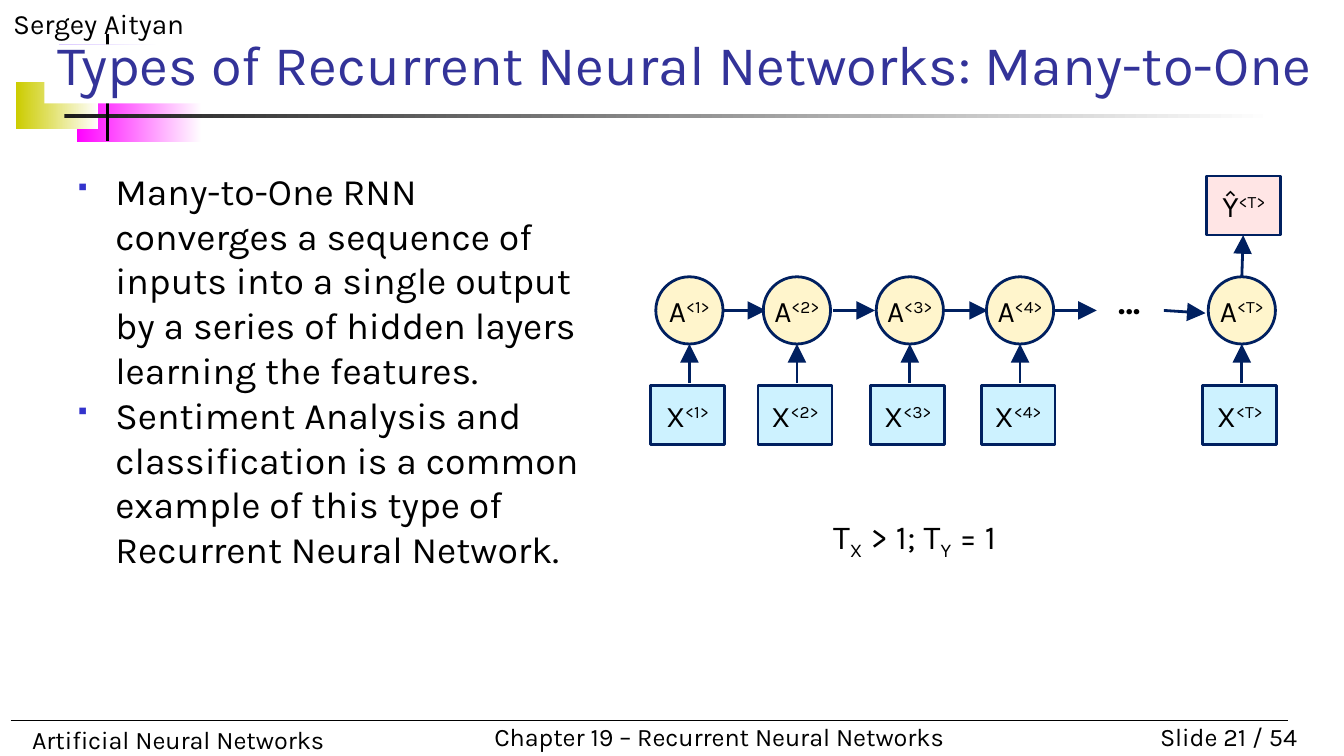
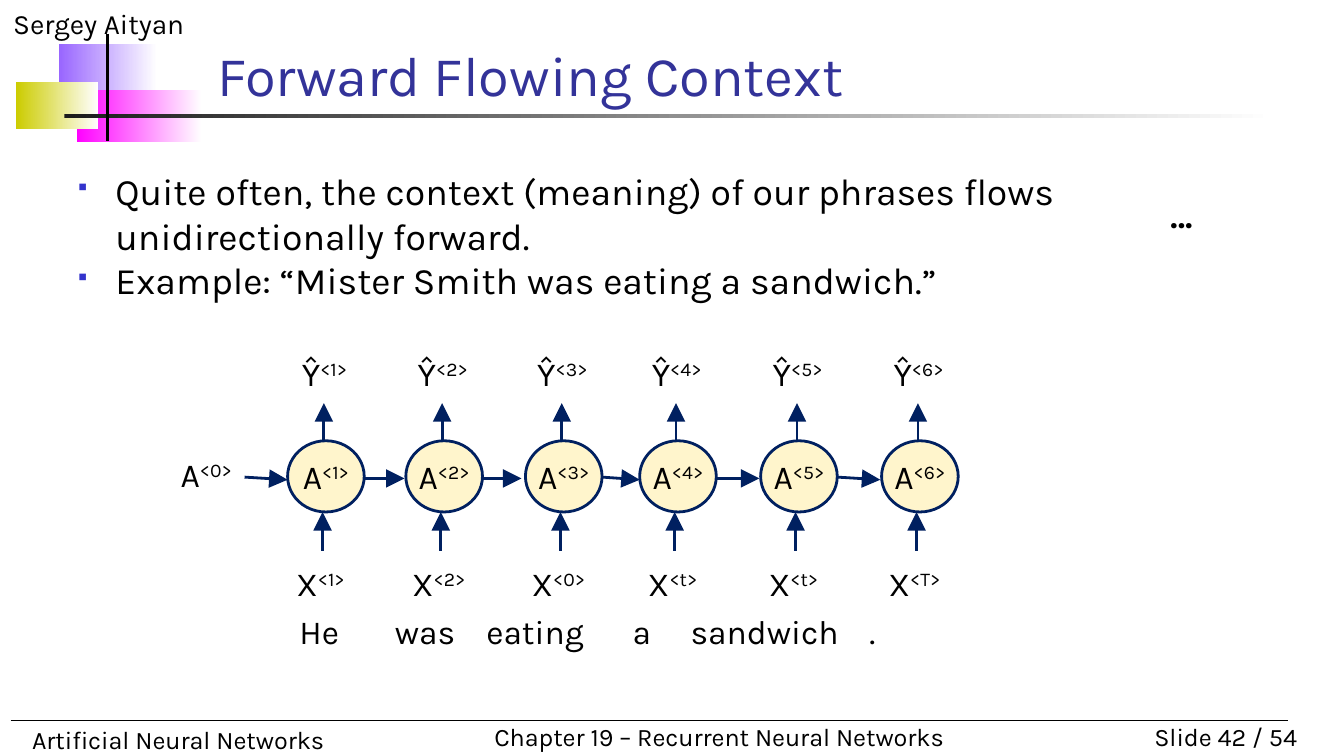
from lxml import etree
from pptx import Presentation
from pptx.dml.color import RGBColor
from pptx.enum.shapes import MSO_CONNECTOR, MSO_SHAPE
from pptx.enum.text import MSO_ANCHOR, MSO_AUTO_SIZE, PP_ALIGN
from pptx.oxml.ns import qn
from pptx.util import Inches, Pt

RECT, OVAL = MSO_SHAPE.RECTANGLE, MSO_SHAPE.OVAL
STRAIGHT = MSO_CONNECTOR.STRAIGHT
LEFT, CENTER, RIGHT = PP_ALIGN.LEFT, PP_ALIGN.CENTER, PP_ALIGN.RIGHT
TOP, MIDDLE, BOTTOM = MSO_ANCHOR.TOP, MSO_ANCHOR.MIDDLE, MSO_ANCHOR.BOTTOM
GROW = MSO_AUTO_SIZE.SHAPE_TO_FIT_TEXT

BLACK = RGBColor(0x00, 0x00, 0x00)
WHITE = RGBColor(0xFF, 0xFF, 0xFF)
TITLE_BLUE = RGBColor(0x33, 0x33, 0x99)
BULLET_BLUE = RGBColor(0x33, 0x33, 0xCC)
NAVY = RGBColor(0x00, 0x20, 0x60)
CREAM = RGBColor(0xFF, 0xF5, 0xCC)
SKY = RGBColor(0xCD, 0xF2, 0xFF)
ROSE = RGBColor(0xFF, 0xE5, 0xE5)
VIOLET = RGBColor(0x99, 0x66, 0xFF)
MAGENTA = RGBColor(0xFF, 0x00, 0xFF)
OLIVE = RGBColor(0xCC, 0xCC, 0x00)
CHARCOAL = RGBColor(0x1C, 0x1C, 0x1C)

FONT = "Karla"
SUPER, SUB = 30, -25


def write(p, text, size=18, color=BLACK, bold=False, align=LEFT):
    """Fill a paragraph with a string or a list of (text, baseline %) pairs."""
    p.alignment = align
    for part, baseline in [(text, 0)] if isinstance(text, str) else text:
        r = p.add_run()
        r.text = part
        r.font.name = FONT
        r.font.size = Pt(size)
        r.font.bold = bold
        r.font.color.rgb = color
        if baseline:
            r._r.get_or_add_rPr().set("baseline", str(baseline * 1000))


def indexed(letter, step):
    """A state letter with its time step raised."""
    return [(letter, 0), (f"<{step}>", SUPER)]


def add_child(parent, tag, **attributes):
    return etree.SubElement(parent, qn(tag), attributes)


class Deck:
    def __init__(self):
        self.prs = Presentation()
        self.prs.slide_width = Inches(10)
        self.prs.slide_height = Inches(10 * 9 / 16)
        self.s = None

    def slide(self, number, title, title_at, title_fill=None):
        self.s = self.prs.slides.add_slide(self.prs.slide_layouts[6])
        # Corner ornament and rule under the title
        self.fade(0.44, 0.33, 0.73, 0.39, VIOLET)
        self.fade(0.57, 0.67, 0.93, 0.39, MAGENTA)
        self.fade(0.12, 0.61, 0.61, 0.35, OLIVE)
        self.fade(0.48, 0.85, 9, 0.03, CHARCOAL)
        # Author and footer
        self.text(0, 0, 2.5, 0.35, "Sergey Aityan", size=15)
        self.text(8.25, 5.32, 1.5, 0.33, f"Slide {number} / 54", size=13.5, align=RIGHT)
        self.text(0.14, 5.34, 3.7, 0.33, "Artificial Neural Networks", size=13.5)
        self.text(3.58, 5.32, 3.6, 0.33, "Chapter 19 – Recurrent Neural Networks",
                  wrap=False, size=13.5)
        self.line((0.08, 5.36), (9.58, 5.36), BLACK, 0.75)
        self.line((0.8, 0.25), (0.8, 1.05), BLACK, 2)
        # Title
        box = self.text(*title_at, title, anchor=BOTTOM, grow=False,
                        size=30, color=TITLE_BLUE)
        if title_fill is not None:
            box.fill.solid()
            box.fill.fore_color.rgb = title_fill

    def fade(self, x, y, w, h, color):
        sp = self.s.shapes.add_shape(RECT, Inches(x), Inches(y), Inches(w), Inches(h))
        sp.shadow.inherit = False
        sp.line.fill.background()
        sp.fill.gradient()
        sp.fill.gradient_angle = 0
        for stop, stop_color, position in zip(sp.fill.gradient_stops, (color, WHITE), (0, 1)):
            stop.color.rgb = stop_color
            stop.position = position

    def text(self, x, y, w, h, text, wrap=True, grow=True, anchor=TOP, **style):
        box = self.s.shapes.add_textbox(Inches(x), Inches(y), Inches(w), Inches(h))
        tf = box.text_frame
        tf.word_wrap = wrap
        tf.vertical_anchor = anchor
        if grow:
            tf.auto_size = GROW
        write(tf.paragraphs[0], text, **style)
        return box

    def bullets(self, x, y, w, h, items):
        box = self.s.shapes.add_textbox(Inches(x), Inches(y), Inches(w), Inches(h))
        tf = box.text_frame
        tf.word_wrap = True
        for i, item in enumerate(items):
            p = tf.add_paragraph() if i else tf.paragraphs[0]
            pPr = p._p.get_or_add_pPr()
            pPr.set("marL", str(Inches(0.28)))
            pPr.set("indent", str(-Inches(0.28)))
            add_child(add_child(pPr, "a:buClr"), "a:srgbClr", val=str(BULLET_BLUE))
            add_child(pPr, "a:buSzPct", val="60000")
            # In Wingdings this character is a small square
            add_child(pPr, "a:buFont", typeface="Wingdings", charset="2")
            add_child(pPr, "a:buChar", char="§")
            write(p, item, size=20)

    def spaced_words(self, x, y, w, h, words, stops):
        box = self.text(x, y, w, h, "\t".join(words))
        tabs = add_child(box.text_frame.paragraphs[0]._p.get_or_add_pPr(), "a:tabLst")
        for stop in stops:
            add_child(tabs, "a:tab", pos=str(Inches(stop)), algn="l")

    def node(self, x, y, w, h, label, shape=None, fill=None, size=16):
        """Centred label, inside an outlined shape when one is named."""
        at = [Inches(v) for v in (x, y, w, h)]
        if shape is None:
            sp = self.s.shapes.add_textbox(*at)
        else:
            sp = self.s.shapes.add_shape(shape, *at)
            sp.shadow.inherit = False
            sp.fill.solid()
            sp.fill.fore_color.rgb = fill
            sp.line.color.rgb = NAVY
            sp.line.width = Pt(1.5)
        tf = sp.text_frame
        tf.margin_left = tf.margin_right = tf.margin_top = tf.margin_bottom = 0
        tf.word_wrap = False
        tf.vertical_anchor = MIDDLE
        write(tf.paragraphs[0], label, size=size, align=CENTER)

    def line(self, start, end, color=NAVY, width=1.5):
        c = self.s.shapes.add_connector(STRAIGHT, *[Inches(v) for v in (*start, *end)])
        c.line.color.rgb = color
        c.line.width = Pt(width)
        add_child(c._element.spPr, "a:effectLst")
        return c

    def arrow(self, start, end):
        c = self.line(start, end)
        add_child(c.line._get_or_add_ln(), "a:tailEnd", type="triangle", w="lg", len="lg")


def many_to_one(deck):
    deck.slide(21, "Types of Recurrent Neural Networks: Many-to-One",
               (0.33, 0.33, 9.67, 0.44), WHITE)
    deck.bullets(0.48, 1.2, 3.94, 3.67, [
        "Many-to-One RNN converges a sequence of inputs into a single output "
        "by a series of hidden layers learning the features.",
        "Sentiment Analysis and classification is a common example of this type "
        "of Recurrent Neural Network."])
    # Chain of hidden states
    for x1, x2, y2 in ((5.38, 5.7, 2.31), (6.2, 6.51, 2.31), (7.01, 7.35, 2.31),
                       (7.85, 8.16, 2.31), (8.66, 8.97, 2.33)):
        deck.arrow((x1, 2.31), (x2, y2))
    deck.text(8.22, 2.04, 0.62, 0.4, "…", bold=True)
    # Hidden state and input at each step
    for x, step in zip((4.88, 5.68, 6.52, 7.34, 8.99), "1234T"):
        deck.node(x, 2.06, 0.5, 0.5, indexed("A", step), OVAL, CREAM)
        deck.arrow((x + 0.25, 2.85), (x + 0.25, 2.56))
        deck.node(x - 0.04, 2.87, 0.55, 0.44, indexed("X", step), RECT, SKY)
    # Single output
    deck.arrow((9.24, 2.06), (9.25, 1.75))
    deck.node(8.98, 1.31, 0.55, 0.44, indexed("Ŷ", "T"), RECT, ROSE)
    deck.text(6.1, 3.79, 1.81, 0.4,
              [("T", 0), ("X", SUB), (" > 1; T", 0), ("Y", SUB), (" = 1", 0)])


def forward_context(deck):
    deck.slide(42, "Forward Flowing Context", (1.52, 0.31, 7.35, 0.54))
    deck.bullets(0.48, 1.2, 9.08, 1.08, [
        "Quite often, the context (meaning) of our phrases flows "
        "unidirectionally forward.",
        "Example: “Mister Smith was eating a sandwich.”"])
    deck.text(8.61, 1.4, 0.56, 0.4, "…", bold=True)
    # Context passed from state to state
    deck.node(1.25, 3.31, 0.57, 0.44, indexed("A", 0), size=18)
    for x1, x2, drop in ((1.82, 2.14, 0.01), (2.69, 3.01, 0), (3.53, 3.88, 0),
                         (4.48, 4.76, 0.01), (5.33, 5.65, 0), (6.23, 6.55, 0.01)):
        deck.arrow((x1, 3.56 - drop), (x2, 3.56 + drop))
    # Output, hidden state and input at each step
    columns = zip((2.14, 3.02, 3.91, 4.76, 5.66, 6.56), "120ttT")
    for step, (x, input_step) in enumerate(columns, 1):
        deck.node(x, 3.28, 0.57, 0.53, indexed("A", step), OVAL, CREAM, size=18)
        deck.arrow((x + 0.27, 3.28), (x + 0.27, 3))
        deck.arrow((x + 0.26, 4.1), (x + 0.26, 3.81))
        deck.node(x - 0.01, 2.56, 0.57, 0.44, indexed("Ŷ", step), size=18)
        deck.node(x - 0.04, 4.12, 0.57, 0.44, indexed("X", input_step), size=18)
    deck.spaced_words(2.13, 4.5, 5.73, 0.4,
                      ["He", "was", "eating", "a", "sandwich", "."],
                      (0.71, 1.39, 2.48, 2.91, 4.24))


def main():
    deck = Deck()
    many_to_one(deck)
    forward_context(deck)
    deck.prs.save("out.pptx")


if __name__ == "__main__":
    main()
